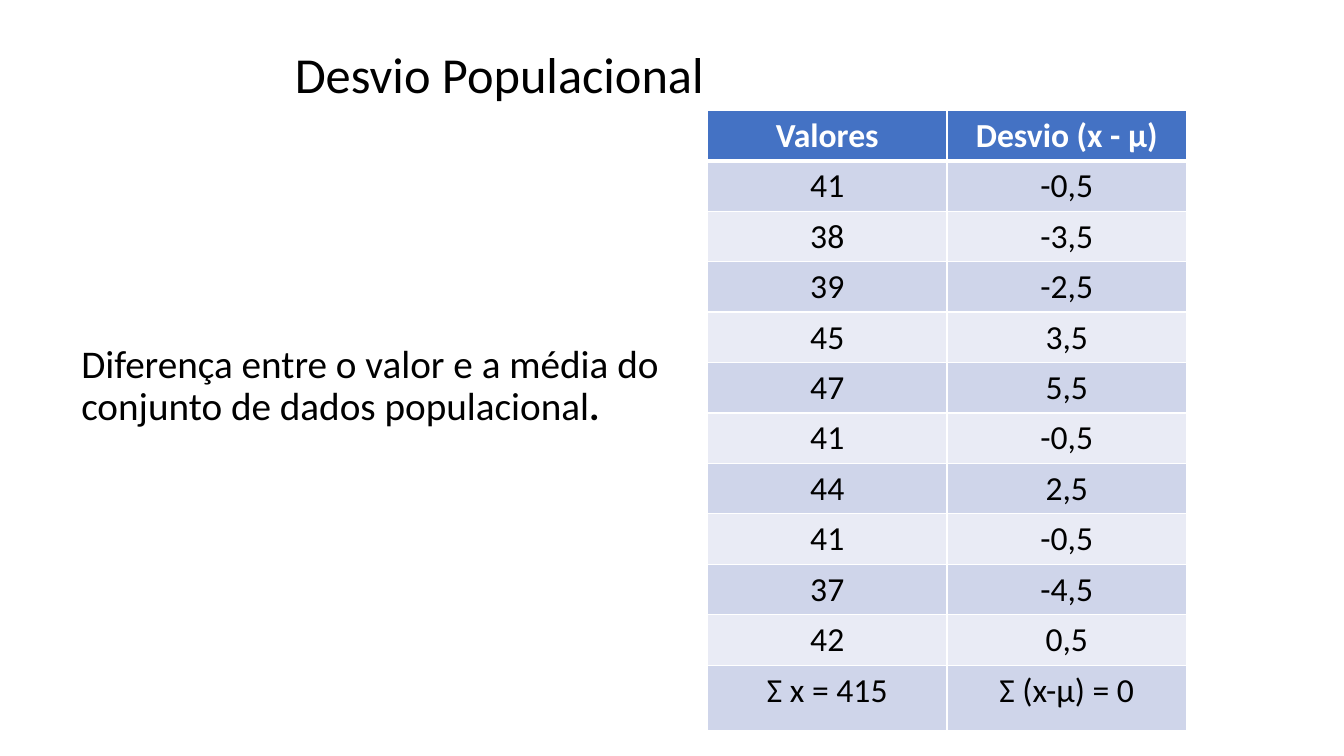
from lxml.etree import SubElement
from pptx import Presentation
from pptx.dml.color import RGBColor
from pptx.enum.text import MSO_ANCHOR, PP_ALIGN
from pptx.oxml.ns import qn
from pptx.util import Cm, Pt

BLACK = RGBColor(0x00, 0x00, 0x00)
WHITE = RGBColor(0xFF, 0xFF, 0xFF)
HEADER_BLUE = RGBColor(0x44, 0x72, 0xC4)
BAND_DARK = RGBColor(0xCF, 0xD5, 0xEA)
BAND_LIGHT = RGBColor(0xE9, 0xEB, 0xF5)

POPULATION = [41, 38, 39, 45, 47, 41, 44, 41, 37, 42]


def add_text(paragraph, text, size=24, color=BLACK, bold=False, align=None):
    run = paragraph.add_run()
    run.text = text
    run.font.name = "Calibri"
    run.font.size = Pt(size)
    run.font.bold = bold
    run.font.color.rgb = color
    if align is not None:
        paragraph.alignment = align


def set_borders(cell, bottom):
    """Draw white cell borders; they must come before the fill in the XML."""
    properties = cell._tc.get_or_add_tcPr()
    for side, width in (("lnL", 1), ("lnR", 1), ("lnT", 1), ("lnB", bottom)):
        line = SubElement(properties, qn(f"a:{side}"), w=str(Pt(width)))
        fill = SubElement(line, qn("a:solidFill"))
        SubElement(fill, qn("a:srgbClr"), val=str(WHITE))


class SlideBuilder:
    def __init__(self, presentation):
        self.slide = presentation.slides.add_slide(presentation.slide_layouts[5])

    def prepare_frame(self, shape, anchor):
        frame = shape.text_frame
        frame.word_wrap = True
        frame.vertical_anchor = anchor
        paragraph = frame.paragraphs[0]
        paragraph.line_spacing = 0.9
        return paragraph

    def title(self, text, left, top, width, height):
        title = self.slide.shapes.title
        title.left, title.top, title.width, title.height = left, top, width, height
        paragraph = self.prepare_frame(title, MSO_ANCHOR.MIDDLE)
        add_text(paragraph, text, size=36, align=PP_ALIGN.CENTER)

    def definition(self, text, ending, left, top, width, height):
        box = self.slide.shapes.add_textbox(left, top, width, height)
        paragraph = self.prepare_frame(box, MSO_ANCHOR.TOP)
        add_text(paragraph, text, size=28, align=PP_ALIGN.LEFT)
        add_text(paragraph, ending, size=28, bold=True)

    def table(self, rows, left, top, width, row_height, last_height):
        height = row_height * (len(rows) - 1) + last_height
        table = self.slide.shapes.add_table(
            len(rows), len(rows[0]), left, top, width, height).table
        for row_index, texts in enumerate(rows):
            header = row_index == 0
            band = BAND_DARK if row_index % 2 else BAND_LIGHT
            table.rows[row_index].height = row_height
            for column_index, text in enumerate(texts):
                cell = table.cell(row_index, column_index)
                set_borders(cell, bottom=3 if header else 1)
                cell.fill.solid()
                cell.fill.fore_color.rgb = HEADER_BLUE if header else band
                add_text(cell.text_frame.paragraphs[0], text, bold=header,
                         color=WHITE if header else BLACK, align=PP_ALIGN.CENTER)
        table.rows[len(rows) - 1].height = last_height


def deviation_rows():
    total = sum(POPULATION)
    mean = total / len(POPULATION)
    deviations = [value - mean for value in POPULATION]
    rows = [("Valores", "Desvio (x - µ)")]
    for value, deviation in zip(POPULATION, deviations):
        rows.append((str(value), f"{deviation:.1f}".replace(".", ",")))
    rows.append((f"Σ x = {total}", f"Σ (x-µ) = {sum(deviations):.0f}"))
    return rows


def main():
    presentation = Presentation()
    presentation.slide_width = Cm(33.87)
    presentation.slide_height = Cm(19.05)
    builder = SlideBuilder(presentation)
    builder.title("Desvio Populacional", Cm(3.96), Cm(1.12), Cm(17.25), Cm(1.65))
    builder.definition(
        "Diferença entre o valor e a média do conjunto de dados populacional", ".",
        Cm(1.8), Cm(8.56), Cm(15.6), Cm(3.45))
    builder.table(deviation_rows(), Cm(17.83), Cm(2.78), Cm(12.07),
                  row_height=Cm(1.27), last_height=Cm(1.65))
    presentation.save("out.pptx")


if __name__ == "__main__":
    main()
